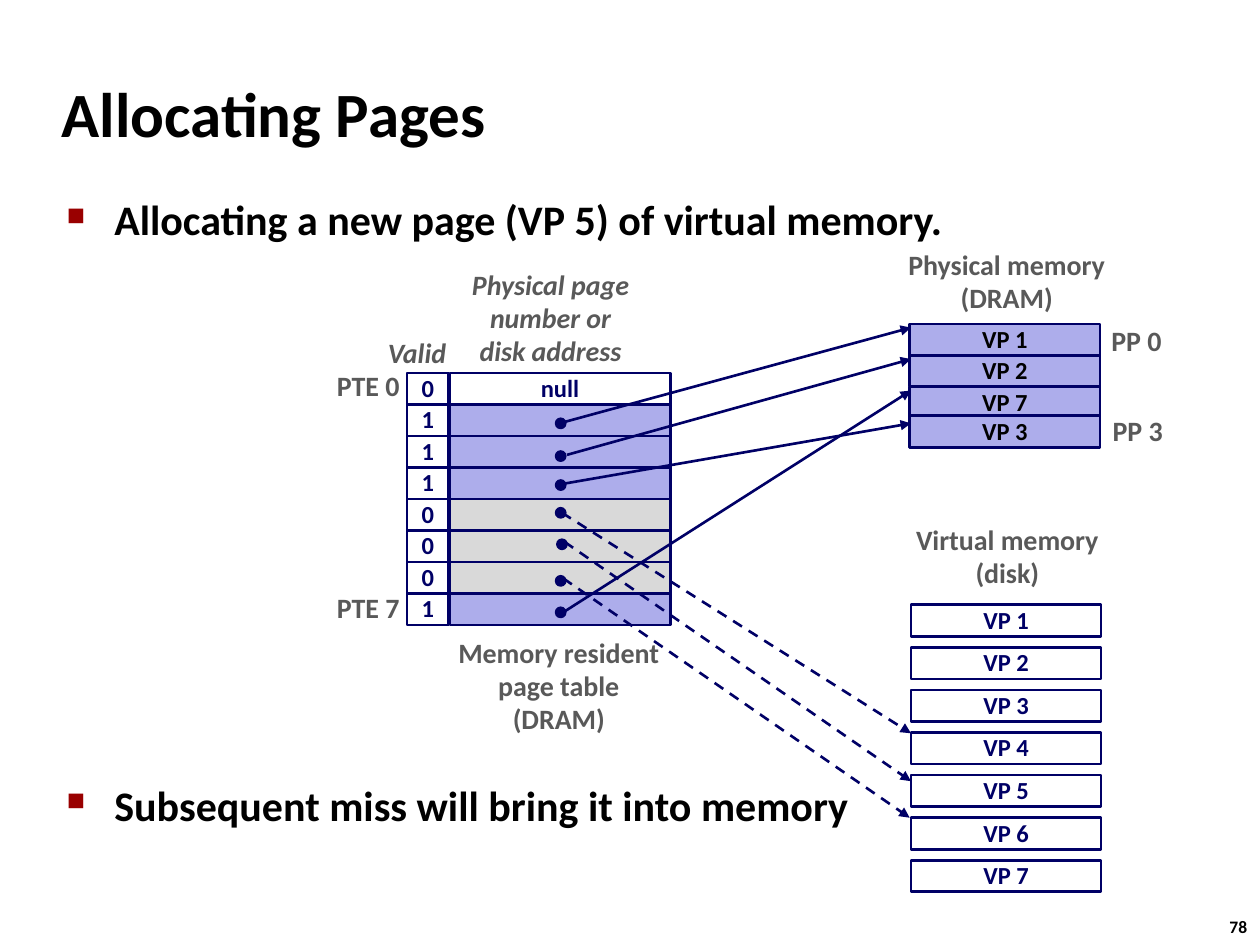
from lxml.etree import SubElement
from pptx import Presentation
from pptx.dml.color import RGBColor
from pptx.enum.dml import MSO_LINE
from pptx.enum.shapes import MSO_CONNECTOR as Connector, MSO_SHAPE as Shape
from pptx.enum.text import MSO_ANCHOR as Anchor, MSO_AUTO_SIZE as AutoSize, PP_ALIGN as Align
from pptx.oxml.ns import qn
from pptx.util import Inches, Pt

NAVY, GRAY, BLACK, WHITE = "000066", "595959", "000000", "FFFFFF"
CACHED, UNCACHED, BULLET = "ADADEB", "D9D9D9", "990000"
ROW = 0.25
TABLE_TOP = 2.96
VALID_LEFT, VALID_WIDTH = 3.23, 0.33
ENTRY_LEFT, ENTRY_WIDTH = 3.57, 1.75
PAGE_WIDTH = 1.51
DOT = 0.08

# valid bit, fill, text
ENTRIES = [
    ("0", WHITE, "null"),
    ("1", CACHED, ""),
    ("1", CACHED, ""),
    ("1", CACHED, ""),
    ("0", UNCACHED, ""),
    ("0", UNCACHED, ""),
    ("0", UNCACHED, ""),
    ("1", CACHED, ""),
]
PHYSICAL_PAGES = [("VP 1", 2.57), ("VP 2", 2.82), ("VP 7", 3.07), ("VP 3", 3.3)]
VIRTUAL_TOP, VIRTUAL_PITCH = 4.8, 0.338

# dot left, dot top, arrow start, arrow end, dashed
POINTERS = [
    (4.41, 3.32, (4.44, 3.36), (7.23, 2.6), False),
    (4.41, 3.58, (4.5, 3.61), (7.23, 2.85), False),
    (4.41, 3.81, (4.47, 3.84), (7.23, 3.36), False),
    (4.41, 4.03, (4.46, 4.07), (7.23, 5.82), True),
    (4.42, 4.28, (4.48, 4.3), (7.23, 6.2), True),
    (4.41, 4.57, (4.47, 4.59), (7.22, 6.49), True),
    (4.41, 4.82, (4.47, 4.86), (7.23, 3.1), False),
]
# text, left, top, width, height, alignment, italic
LABELS = [
    ("Valid", 2.98, 2.63, 0.75, 0.37, Align.LEFT, True),
    ("Physical page\nnumber or\ndisk address", 3.64, 2.09, 1.46, 0.89, Align.CENTER, True),
    ("Memory resident\npage table\n(DRAM)", 3.51, 5.01, 1.85, 0.89, Align.CENTER, False),
    ("Physical memory\n(DRAM)", 7.1, 1.93, 1.78, 0.63, Align.CENTER, False),
    ("Virtual memory\n(disk)", 7.15, 4.11, 1.69, 0.63, Align.CENTER, False),
    ("PTE 0", 2.57, 2.89, 0.7, 0.37, Align.RIGHT, False),
    ("PTE 7", 2.57, 4.65, 0.7, 0.37, Align.RIGHT, False),
    ("PP 0", 8.72, 2.53, 0.6, 0.37, Align.CENTER, False),
    ("PP 3", 8.73, 3.25, 0.6, 0.37, Align.CENTER, False),
]


def rgb(value):
    return RGBColor.from_string(value)


def inches(*lengths):
    return [Inches(length) for length in lengths]


def write(frame, text, size, color, align, italic=None, spacing=None):
    frame.text = text
    for paragraph in frame.paragraphs:
        paragraph.alignment = align
        paragraph.line_spacing = spacing
        for run in paragraph.runs:
            font = run.font
            font.name, font.size, font.bold, font.italic = "Calibri", Pt(size), True, italic
            font.color.rgb = rgb(color)


def add_title(slide, text):
    title = slide.shapes.title
    title.left, title.top, title.width, title.height = inches(0.39, 0.48, 8.3, 0.83)
    frame = title.text_frame
    frame.auto_size = AutoSize.NONE
    frame.vertical_anchor = Anchor.MIDDLE
    write(frame, text, 36, BLACK, Align.LEFT)


def add_bullets(slide, points, gap):
    """Write the points in one box, gap points apart, around the diagram."""
    frame = slide.shapes.add_textbox(*inches(0.43, 1.49, 8.64, 5.44)).text_frame
    frame.word_wrap = True
    write(frame, "\n".join(points), 24, BLACK, Align.LEFT)
    for index, paragraph in enumerate(frame.paragraphs):
        properties = paragraph._p.get_or_add_pPr()
        properties.set("marL", str(Inches(0.38)))
        properties.set("indent", str(-Inches(0.38)))
        color = SubElement(properties, qn("a:buClr"))
        SubElement(color, qn("a:srgbClr"), val=BULLET)
        SubElement(properties, qn("a:buSzPct"), val="60000")
        SubElement(properties, qn("a:buChar"), char="■")
        if index:
            paragraph.space_before = Pt(gap)


def add_label(slide, text, left, top, width, height, align, italic=None, size=16, color=GRAY):
    frame = slide.shapes.add_textbox(*inches(left, top, width, height)).text_frame
    frame.word_wrap = False
    write(frame, text, size, color, align, italic, 0.98)


def add_outlined(slide, preset, left, top, width, height, fill, weight):
    shape = slide.shapes.add_shape(preset, *inches(left, top, width, height))
    shape.shadow.inherit = False
    if fill:
        shape.fill.solid()
        shape.fill.fore_color.rgb = rgb(fill)
    else:
        shape.fill.background()
    shape.line.color.rgb = rgb(NAVY)
    shape.line.width = Pt(weight)
    return shape


def add_cell(slide, left, top, width, fill, text="", color=NAVY):
    cell = add_outlined(slide, Shape.RECTANGLE, left, top, width, ROW, fill, 1.5)
    if text:
        frame = cell.text_frame
        frame.word_wrap = False
        frame.vertical_anchor = Anchor.MIDDLE
        write(frame, text, 14, color, Align.CENTER, spacing=0.98)


def add_arrow(slide, start, end, dashed):
    arrow = slide.shapes.add_connector(Connector.STRAIGHT, *inches(*start, *end))
    arrow.line.color.rgb = rgb(NAVY)
    arrow.line.width = Pt(1.5)
    if dashed:
        arrow.line.dash_style = MSO_LINE.DASH
    properties = arrow._element.spPr
    SubElement(properties.find(qn("a:ln")), qn("a:tailEnd"), type="triangle")
    SubElement(properties, qn("a:effectLst"))


def add_page_table(slide):
    for row, (valid, fill, text) in enumerate(ENTRIES):
        top = TABLE_TOP + row * ROW
        add_cell(slide, ENTRY_LEFT, top, ENTRY_WIDTH, fill, text)
        add_cell(slide, VALID_LEFT, top, VALID_WIDTH, None, valid)


def add_memories(slide):
    for name, top in PHYSICAL_PAGES:
        add_cell(slide, 7.22, top, PAGE_WIDTH, CACHED, name, BLACK)
    for index in range(7):
        top = VIRTUAL_TOP + index * VIRTUAL_PITCH
        add_cell(slide, 7.23, top, PAGE_WIDTH, WHITE, f"VP {index + 1}")


def add_pointers(slide):
    for left, top, start, end, dashed in POINTERS:
        add_outlined(slide, Shape.OVAL, left, top, DOT, DOT, NAVY, 1)
        add_arrow(slide, start, end, dashed)


def main():
    deck = Presentation()
    deck.slide_width, deck.slide_height = inches(10, 7.5)
    slide = deck.slides.add_slide(deck.slide_layouts[5])
    add_title(slide, "Allocating Pages")
    add_bullets(slide, ["Allocating a new page (VP 5) of virtual memory.",
                        "Subsequent miss will bring it into memory"], gap=306)
    add_page_table(slide)
    add_memories(slide)
    for label in LABELS:
        add_label(slide, *label)
    add_pointers(slide)
    add_label(slide, "78", 9.66, 7.23, 0.37, 0.27, Align.LEFT, size=10, color=BLACK)
    deck.save("out.pptx")


if __name__ == "__main__":
    main()
